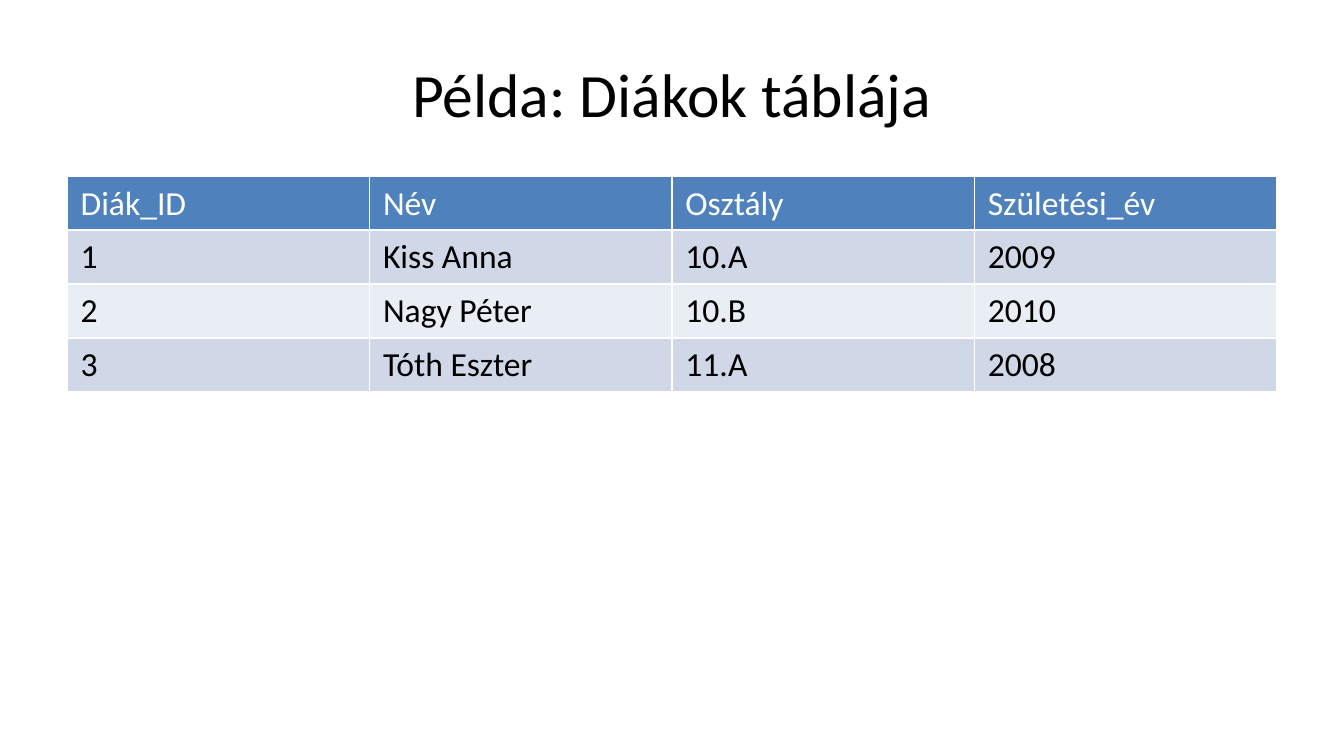
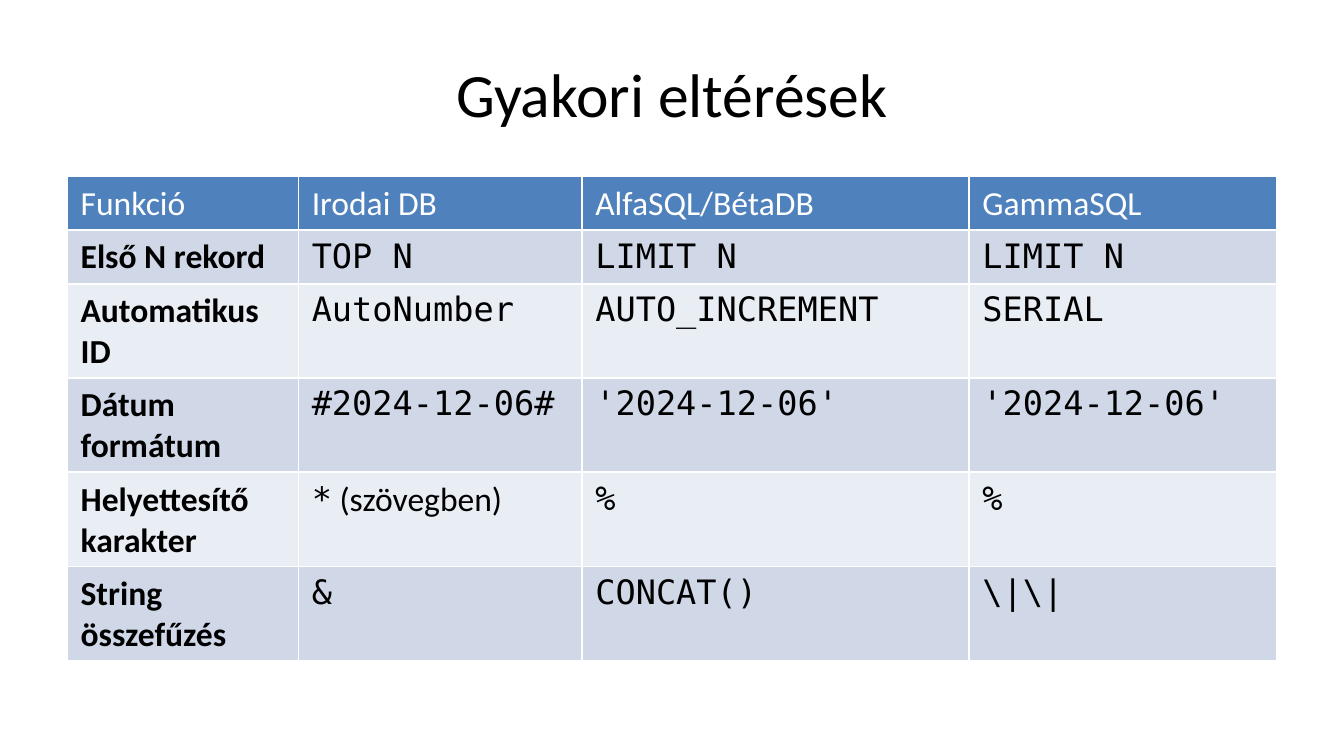
from itertools import cycle

from pptx import Presentation
from pptx.dml.color import RGBColor
from pptx.enum.text import MSO_ANCHOR, PP_ALIGN
from pptx.util import Inches, Pt

CENTER = PP_ALIGN.CENTER
MIDDLE = MSO_ANCHOR.MIDDLE

SLIDE_WIDTH = 10
SLIDE_HEIGHT = SLIDE_WIDTH * 9 / 16
BLANK_LAYOUT = 6
CODE_MARK = "`"


def color(hex_code):
    return RGBColor.from_string(hex_code)


class Deck:
    body_font, code_font = "Calibri", "DejaVu Sans Mono"
    title_size, cell_size = 33, 18
    ink, header_ink = "000000", "FFFFFF"
    header_fill, band_fills = "4F81BD", ("D0D8E8", "E9EDF4")
    columns, rows = 20, 24
    title_bottom_inset = 0.08
    cell_padding, line_height = 0.1, 0.3

    def __init__(self):
        self.presentation = Presentation()
        self.presentation.slide_width = Inches(SLIDE_WIDTH)
        self.presentation.slide_height = Inches(SLIDE_HEIGHT)
        self.slide = None

    def x(self, column):
        return Inches(SLIDE_WIDTH * column / self.columns)

    def y(self, row):
        return Inches(SLIDE_HEIGHT * row / self.rows)

    def new_slide(self, heading):
        layout = self.presentation.slide_layouts[BLANK_LAYOUT]
        self.slide = self.presentation.slides.add_slide(layout)
        self.title(heading)

    def style(self, run, size, ink, font=body_font, bold=False):
        run.font.name = font
        run.font.size = Pt(size)
        run.font.bold = bold
        run.font.color.rgb = color(ink)

    def title(self, heading):
        frame = self.slide.shapes.add_textbox(
            self.x(1), self.y(1), self.x(18), self.y(4)).text_frame
        frame.word_wrap = True
        frame.vertical_anchor = MIDDLE
        frame.margin_bottom = Inches(self.title_bottom_inset)
        frame.text = heading
        paragraph = frame.paragraphs[0]
        paragraph.alignment = CENTER
        self.style(paragraph.runs[0], self.title_size, self.ink)

    def cell(self, cell, content, fill, ink, bold=False):
        cell.fill.solid()
        cell.fill.fore_color.rgb = color(fill)
        paragraph = cell.text_frame.paragraphs[0]
        for index, part in enumerate(content.split(CODE_MARK)):
            if part:
                run = paragraph.add_run()
                run.text = part
                font = self.code_font if index % 2 else self.body_font
                self.style(run, self.cell_size, ink, font, bold)

    def table(self, header, records, widths, line_counts, bold_labels=False):
        heights = [Inches(self.cell_padding + self.line_height * lines)
                   for lines in line_counts]
        grid = self.slide.shapes.add_table(
            len(records) + 1, len(header),
            self.x(1), self.y(5.6), self.x(18), sum(heights)).table
        for column, width in zip(grid.columns, widths):
            column.width = Inches(width)
        for row, height in zip(grid.rows, heights):
            row.height = height
        for cell, label in zip(grid.rows[0].cells, header):
            self.cell(cell, label, self.header_fill, self.header_ink)
        for number, (record, fill) in enumerate(
                zip(records, cycle(self.band_fills)), start=1):
            for position, content in enumerate(record):
                self.cell(grid.cell(number, position), content, fill, self.ink,
                          bold_labels and position == 0)


def main():
    deck = Deck()

    deck.new_slide("Példa: Diákok táblája")
    deck.table(
        ("Diák_ID", "Név", "Osztály", "Születési_év"),
        (("1", "Kiss Anna", "10.A", "2009"),
         ("2", "Nagy Péter", "10.B", "2010"),
         ("3", "Tóth Eszter", "11.A", "2008")),
        widths=[2.25] * 4,
        line_counts=[1] * 4)

    deck.new_slide("Gyakori eltérések")
    deck.table(
        ("Funkció", "Irodai DB", "AlfaSQL/BétaDB", "GammaSQL"),
        (("Első N rekord", "`TOP N`", "`LIMIT N`", "`LIMIT N`"),
         ("Automatikus ID", "`AutoNumber`", "`AUTO_INCREMENT`", "`SERIAL`"),
         ("Dátum formátum", "`#2024-12-06#`", "`'2024-12-06'`", "`'2024-12-06'`"),
         ("Helyettesítő karakter", "`*` (szövegben)", "`%`", "`%`"),
         ("String összefűzés", "`&`", "`CONCAT()`", r"`\|\|`")),
        widths=(1.72, 2.11, 2.88, 2.29),
        line_counts=(1, 1, 2, 2, 2, 2),
        bold_labels=True)

    deck.presentation.save("out.pptx")


if __name__ == "__main__":
    main()
